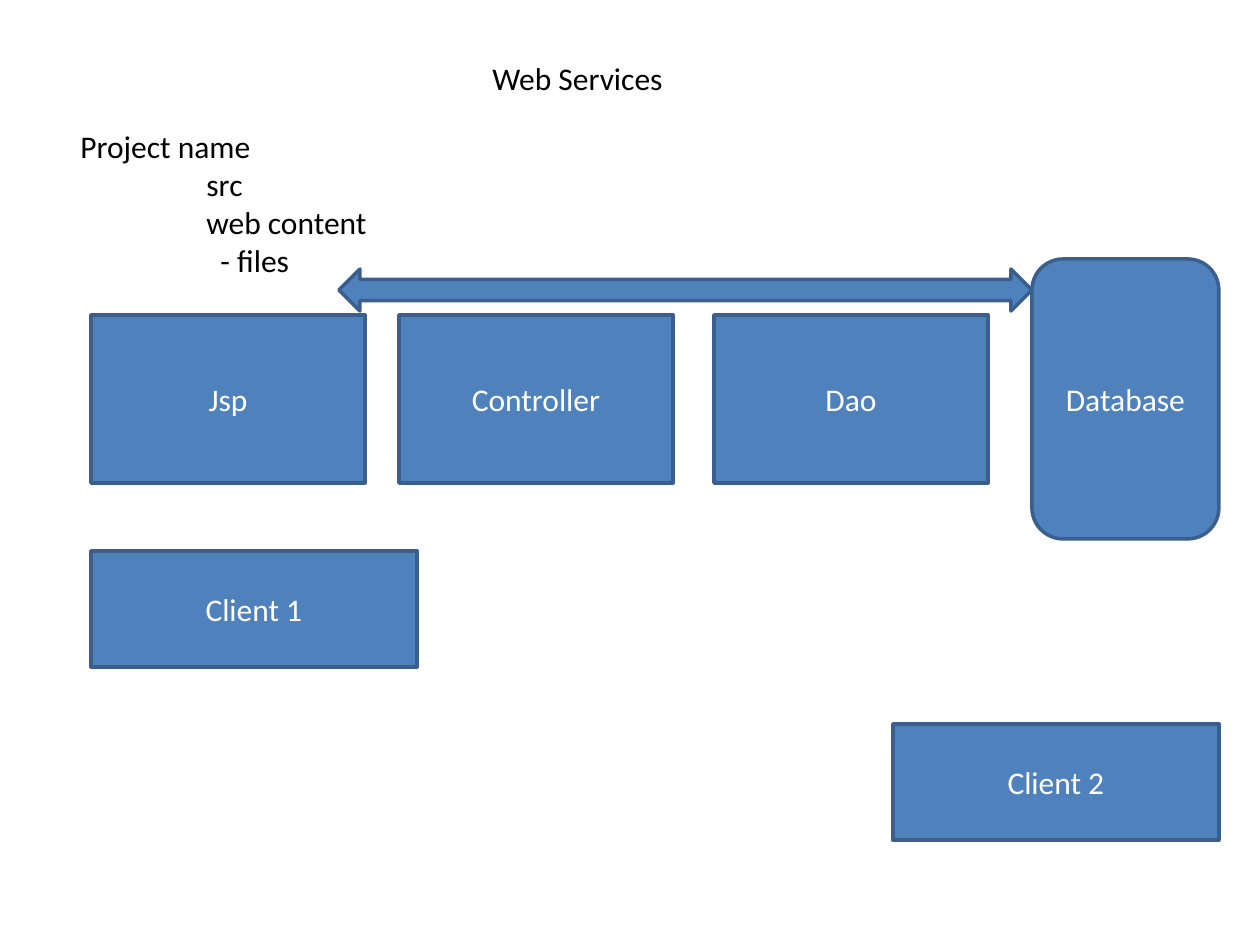
from pptx import Presentation
from pptx import util as u
from pptx.dml.color import RGBColor
from pptx.enum import shapes, text

PX = 914400 // 126
FILL, EDGE, WHITE, BLACK = "4F81BD", "3A5F8C", "FFFFFF", "000000"
KIND = shapes.MSO_SHAPE


def px(n):
    """Turn pixels into EMU."""
    return u.Emu(n * PX)


def paint(color, value):
    """Set a colour format's solid colour from a hex string."""
    color.rgb = RGBColor.from_string(value)


def write(frame, lines, color=BLACK, align=text.PP_ALIGN.LEFT, indents=()):
    """Write one paragraph per line, with optional left indents in pixels."""
    for i, line in enumerate(lines):
        para = frame.paragraphs[0] if i == 0 else frame.add_paragraph()
        para.alignment = align
        if i < len(indents) and indents[i]:
            props = para._p.get_or_add_pPr()
            props.set("marL", str(px(indents[i])))
            props.set("indent", "0")
        run = para.add_run()
        run.text = line
        run.font.name = "Calibri"
        run.font.size = u.Pt(18)
        paint(run.font.color, color)


def label(slide, box, lines, wrap=True, **format):
    """Place a plain text box."""
    frame = slide.shapes.add_textbox(*map(px, box)).text_frame
    frame.word_wrap = wrap
    frame.auto_size = text.MSO_AUTO_SIZE.SHAPE_TO_FIT_TEXT
    write(frame, lines, **format)


def block(slide, box, name="", kind=KIND.RECTANGLE):
    """Place a filled shape with a centred name."""
    shape = slide.shapes.add_shape(kind, *map(px, box))
    shape.shadow.inherit = False
    shape.fill.solid()
    paint(shape.fill.fore_color, FILL)
    paint(shape.line.color, EDGE)
    shape.line.width = u.Pt(2)
    if name:
        frame = shape.text_frame
        frame.word_wrap = True
        frame.vertical_anchor = text.MSO_ANCHOR.MIDDLE
        write(frame, [name], color=WHITE, align=text.PP_ALIGN.CENTER)


def header(slide, left, top):
    """Place the title and the project tree."""
    label(slide, (left + 412, top, 205, 50), ["Web Services"], wrap=False)
    label(slide, (left, top + 68, 388, 165),
          ["Project name", "src", "web content", "- files"],
          indents=(0, 126, 126, 140))


def layers(slide, left, top):
    """Place the server layers, the database and the arrow joining them."""
    for x, name in ((0, "Jsp"), (308, "Controller"), (623, "Dao")):
        block(slide, (left + x, top, 274, 168), name)
    block(slide, (left + 941, top - 56, 187, 280), "Database",
          KIND.ROUNDED_RECTANGLE)
    block(slide, (left + 248, top - 46, 693, 42),
          kind=KIND.LEFT_RIGHT_ARROW)


def clients(slide, left, top):
    """Place the two clients, the second lower and to the right."""
    for i in range(2):
        box = (left + 802 * i, top + 173 * i, 326, 116)
        block(slide, box, f"Client {i + 1}")


def main():
    """Build and save the slide."""
    deck = Presentation()
    deck.slide_width, deck.slide_height = px(1260), px(945)
    slide = deck.slides.add_slide(deck.slide_layouts[6])
    header(slide, 68, 53)
    layers(slide, 91, 315)
    clients(slide, 91, 551)
    deck.save("out.pptx")


main()
